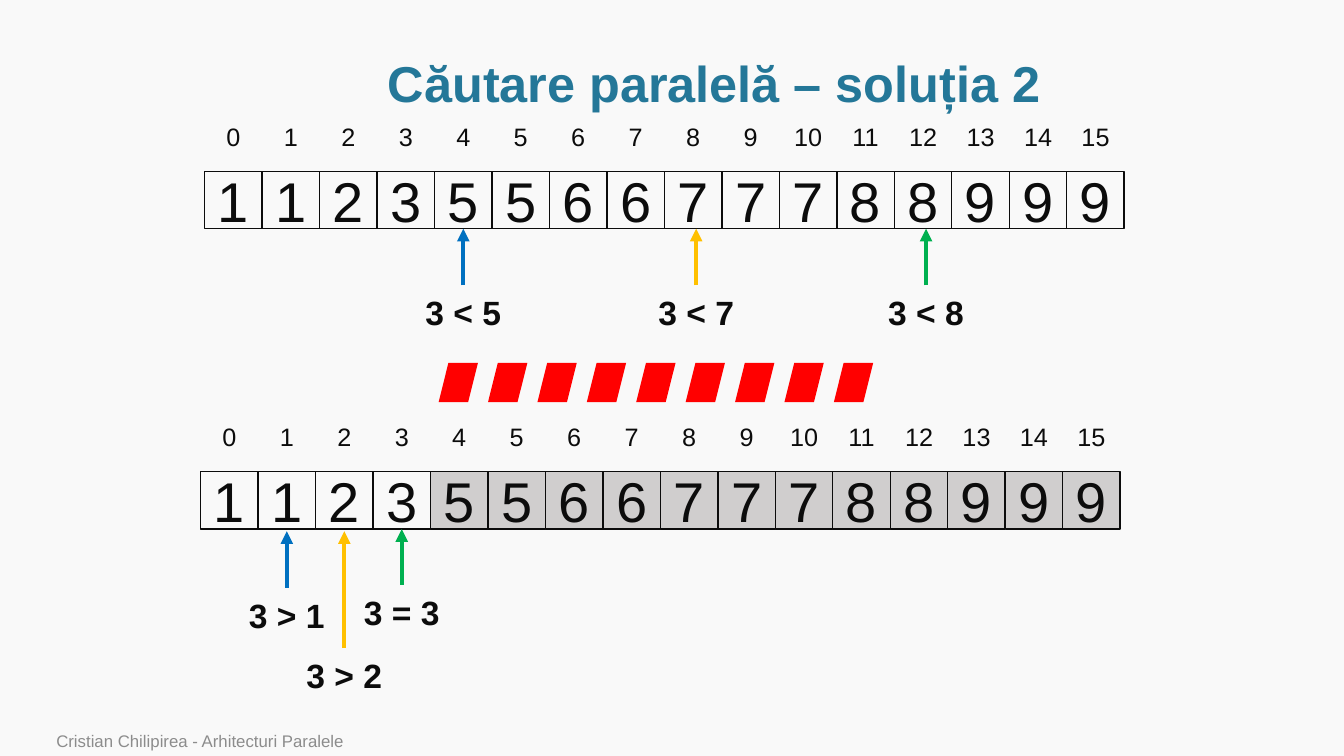
from dataclasses import dataclass

from lxml import etree
from pptx import Presentation
from pptx.dml.color import RGBColor
from pptx.enum.shapes import MSO_CONNECTOR, MSO_SHAPE
from pptx.enum.text import MSO_ANCHOR, PP_ALIGN
from pptx.oxml.ns import qn
from pptx.util import Emu, Pt

RECT, SLANT = MSO_SHAPE.RECTANGLE, MSO_SHAPE.PARALLELOGRAM
STRAIGHT = MSO_CONNECTOR.STRAIGHT
LEFT, CENTER = PP_ALIGN.LEFT, PP_ALIGN.CENTER
TOP, MIDDLE, BOTTOM = MSO_ANCHOR.TOP, MSO_ANCHOR.MIDDLE, MSO_ANCHOR.BOTTOM


@dataclass(frozen=True)
class Theme:
    font: str = "Arial"
    back: str = "F9F9F9"
    ink: str = "0C0C0C"
    head: str = "247798"
    foot: str = "8C8C8C"
    gray: str = "D0CECE"
    red: str = "FF0000"
    blue: str = "0070C0"
    gold: str = "FFC000"
    green: str = "00B050"
    title: int = 36
    digit: int = 40
    index: int = 18
    note: int = 24
    small: int = 12


T = Theme()
CELL = 57
VALUES = [1, 1, 2, 3, 5, 5, 6, 6, 7, 7, 7, 8, 8, 9, 9, 9]

# cell, shift from its middle, gap below it, arrow length, colour, label
FIRST = [
    (4, 0, 0, 56, T.blue, "3 < 5"),
    (8, 3, 0, 56, T.gold, "3 < 7"),
    (12, 3, 0, 56, T.green, "3 < 8"),
]
SECOND = [
    (1, 0, 2, 56, T.blue, "3 > 1"),
    (2, 0, 2, 116, T.gold, "3 > 2"),
    (3, 0, 0, 55, T.green, "3 = 3"),
]


def px(n):
    """Turn px, 100 to the inch, into EMU."""
    return Emu(round(n * 9144))


def rgb(color):
    return RGBColor.from_string(color)


def write(shape, text, size, color, bold=False, align=CENTER, anchor=MIDDLE, wrap=True):
    frame = shape.text_frame
    frame.word_wrap = wrap
    frame.vertical_anchor = anchor
    para = frame.paragraphs[0]
    para.alignment = align
    run = para.add_run()
    run.text = text
    font = run.font
    font.name, font.size, font.bold = T.font, Pt(size), bold
    font.color.rgb = rgb(color)
    return para


def add_text(slide, box, text, size, color, **style):
    return write(slide.shapes.add_textbox(*map(px, box)), text, size, color, **style)


def add_block(slide, kind, box, fill=None, line=None):
    shape = slide.shapes.add_shape(kind, *map(px, box))
    shape.shadow.inherit = False
    if fill:
        shape.fill.solid()
        shape.fill.fore_color.rgb = rgb(fill)
    else:
        shape.fill.background()
    if line:
        shape.line.color.rgb = rgb(line)
        shape.line.width = Pt(1)
    else:
        shape.line.fill.background()
    return shape


def add_arrow(slide, x, low, high, color):
    """Draw an upward arrow from low to high."""
    arrow = slide.shapes.add_connector(STRAIGHT, px(x), px(low), px(x), px(high))
    arrow.line.color.rgb = rgb(color)
    arrow.line.width = Pt(3)
    etree.SubElement(arrow.line._get_or_add_ln(), qn("a:tailEnd"), type="triangle")
    etree.SubElement(arrow._element.spPr, qn("a:effectLst"))
    return arrow


def add_array(slide, left, top, marks, live=len(VALUES)):
    """Draw the indexed cells and their marks; cells from live on are gray."""
    cells = []
    for i, value in enumerate(VALUES):
        x = left + i * CELL
        fill = None if i < live else T.gray
        cell = add_block(slide, RECT, (x, top + 55, CELL, CELL), fill, T.ink)
        write(cell, str(value), T.digit, T.ink)
        cells.append(cell)
        wide = 34 if i < 10 else 48
        add_text(slide, (x + (CELL - wide) / 2, top, wide, 40), str(i),
                 T.index, T.ink, anchor=TOP, wrap=False)
    for i, shift, gap, length, color, label in marks:
        x = left + (i + 0.5) * CELL + shift
        high = top + 55 + CELL + gap
        low = high + length
        arrow = add_arrow(slide, x, low, high, color)
        if shift == gap == 0:
            arrow.end_connect(cells[i], 2)
        add_text(slide, (x - 48, low + 2, 96, 50), label,
                 T.note, T.ink, bold=True, anchor=TOP, wrap=False)


def add_divider(slide, left, top, count=9, step=49, size=39):
    for i in range(count):
        add_block(slide, SLANT, (left + i * step, top, size, size), T.red)


def main():
    deck = Presentation()
    deck.slide_width, deck.slide_height = px(1333), px(750)
    slide = deck.slides.add_slide(deck.slide_layouts[6])
    slide.background.fill.solid()
    slide.background.fill.fore_color.rgb = rgb(T.back)
    title = add_text(slide, (114, 51, 1189, 69), "Căutare paralelă – soluția 2",
                     T.title, T.head, bold=True)
    title.line_spacing = 0.9
    add_array(slide, 203, 115, FIRST)
    add_divider(slide, 435, 360)
    add_array(slide, 199, 413, SECOND, live=4)
    add_text(slide, (46, 722, 982, 28), "Cristian Chilipirea - Arhitecturi Paralele",
             T.small, T.foot, align=LEFT, anchor=BOTTOM)
    deck.save("out.pptx")


if __name__ == "__main__":
    main()
